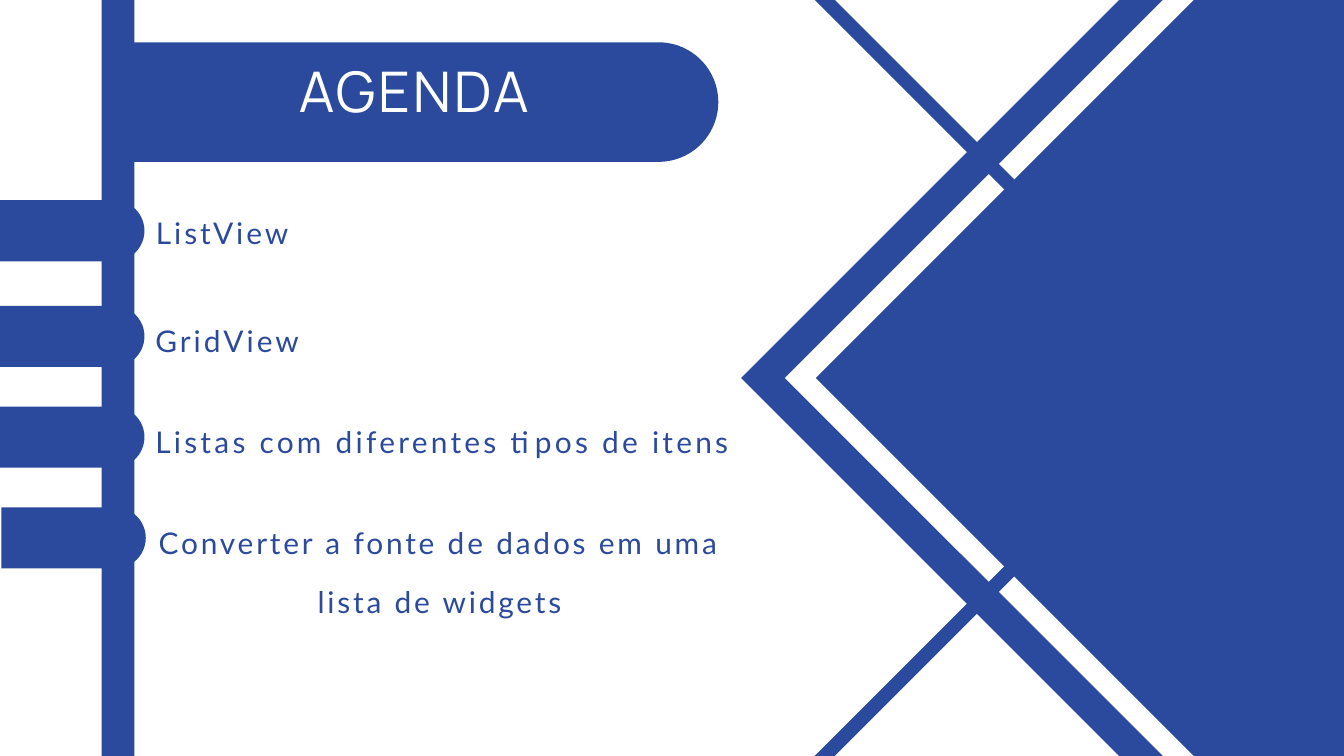
"""Build the agenda slide with its tab markers and diamond backdrop."""
from lxml import etree
from pptx import Presentation
from pptx.dml.color import RGBColor
from pptx.enum import shapes, text
from pptx.oxml.ns import qn
from pptx.util import Cm, Pt

HUES = {"blue": "2B4A9D", "white": "FFFFFF"}
WIDE, HIGH = 50.8, 28.58
LEFT, MID = text.PP_ALIGN.LEFT, text.PP_ALIGN.CENTER

# words, box (left, top, width, height), font, size, hue, tracking, leading, align
TEXTS = [
    ("AGENDA", (5.89, 2.44, 19.51, 2.49), "Manrope", 60, "white", 3, 63, MID),
    ("ListView", (5.89, 7.9, 20.4, 3.05), "Lato", 32, "blue", 3.2, 44.8, LEFT),
    ("GridView", (5.87, 11.99, 20.4, 1.45), "Lato", 32, "blue", 3.2, 44.8, LEFT),
    ("Listas com diferentes tipos de itens", (5.87, 15.8, 23.16, 1.45),
     "Lato", 32, "blue", 3.5, 44.8, LEFT),
    ("Converter a fonte de dados em uma lista de widgets",
     (4.6, 18.97, 24.03, 4.17), "Lato", 32, "blue", 3, 63, MID),
]
# left, top, width, height
BANNER = (5.05, 1.6, 22.1, 4.52)
TABS = [(x, y, 5.46, 2.31)
        for x, y in ((0, 7.57), (0, 11.56), (0, 15.37), (0.05, 19.18))]
# centre x, centre y, outer reach, inner reach, hue
GEMS = [
    (48.01, HIGH / 2, 20, 0, "blue"),
    (48.13, HIGH / 2, 18.46, 17.3, "white"),
    (40.56, 30.91, 12.1, 11.34, "blue"),
    (40.56, -2.34, 12.1, 11.34, "blue"),
]


def paint(shape, hue):
    shape.shadow.inherit = False
    shape.fill.solid()
    shape.fill.fore_color.rgb = RGBColor.from_string(HUES[hue])
    shape.line.fill.background()


def add_gem(slide, x, y, outer, inner, hue):
    def ring(reach):
        return [(Cm(x + dx * reach), Cm(y + dy * reach))
                for dx, dy in ((0, -1), (-1, 0), (0, 1), (1, 0))]

    first, *rest = ring(outer)
    pen = slide.shapes.build_freeform(*first)
    pen.add_line_segments(rest)
    if inner:
        first, *rest = ring(inner)
        pen.move_to(*first)
        pen.add_line_segments(rest[::-1])
    paint(pen.convert_to_shape(), hue)


def add_tab(slide, x, y, wide, high):
    shift = (wide - high) / 2
    tab = slide.shapes.add_shape(
        shapes.MSO_SHAPE.ROUND_2_SAME_RECTANGLE,
        Cm(x + shift), Cm(y - shift), Cm(high), Cm(wide))
    tab.rotation = 90
    tab.adjustments[0] = 0.5
    paint(tab, "blue")


def write(holder, words, box, face, size, hue, track, lead, align):
    holder.left, holder.top, holder.width, holder.height = map(Cm, box)
    frame = holder.text_frame
    frame.text = words
    frame.word_wrap = True
    frame.auto_size = text.MSO_AUTO_SIZE.NONE
    frame.vertical_anchor = text.MSO_ANCHOR.TOP
    frame.margin_left = frame.margin_right = 0
    frame.margin_top = frame.margin_bottom = 0
    para = frame.paragraphs[0]
    para.alignment = align
    para.line_spacing = Pt(lead)
    para.space_before = Pt(0)
    props = para._p.get_or_add_pPr()
    props.set("marL", "0")
    props.set("indent", "0")
    etree.SubElement(props, qn("a:buNone"))
    font = para.font
    font.name, font.size, font.bold = face, Pt(size), False
    font.color.rgb = RGBColor.from_string(HUES[hue])
    font._element.set("spc", str(round(track * 100)))


def main():
    deck = Presentation()
    deck.slide_width, deck.slide_height = Cm(WIDE), Cm(HIGH)
    slide = deck.slides.add_slide(deck.slide_layouts.get_by_name("Comparison"))
    holders = list(slide.placeholders)
    bar = slide.shapes.add_shape(
        shapes.MSO_SHAPE.RECTANGLE, Cm(3.84), 0, Cm(1.24), Cm(HIGH))
    paint(bar, "blue")
    for gem in GEMS:
        add_gem(slide, *gem)
    for tab in [BANNER, *TABS]:
        add_tab(slide, *tab)
    for holder, row in zip(holders, TEXTS):
        write(holder, *row)
        slide.shapes._spTree.append(holder._element)
    deck.save("out.pptx")


if __name__ == "__main__":
    main()
